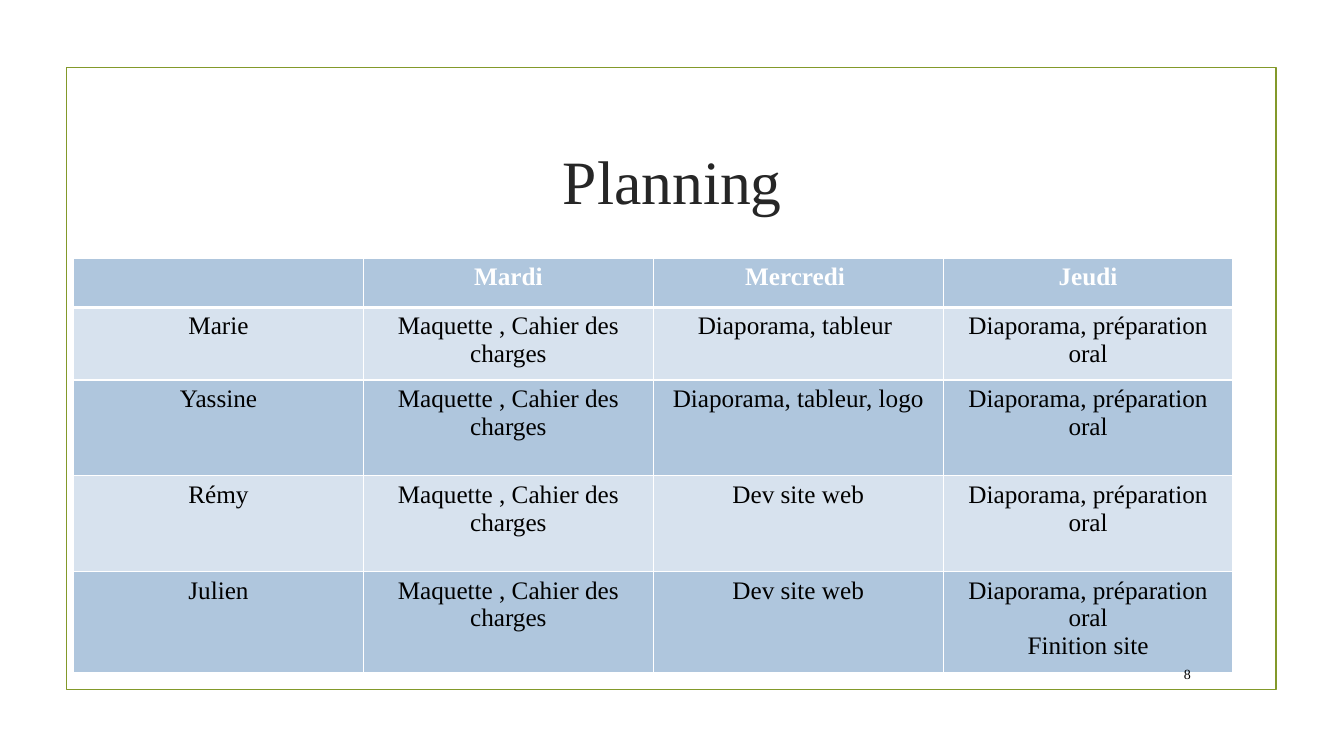
from lxml.etree import SubElement
from pptx import Presentation
from pptx.dml.color import RGBColor
from pptx.enum.shapes import MSO_SHAPE as Shape
from pptx.enum.text import MSO_ANCHOR as Anchor, PP_ALIGN as Align
from pptx.oxml.ns import qn
from pptx.util import Inches, Pt

FONT = "Times New Roman"
GREEN, WHITE, BLACK, TITLE_GREY = "83992A", "FFFFFF", "000000", "262626"
BAND_FILLS = ["AFC6DD", "D7E2EE"]
ROW_HEIGHTS = [0.49, 0.72, 0.95, 0.95, 0.95]
MOCKUP = "Maquette , Cahier des charges"
ORAL = "Diaporama, préparation oral"
PLANNING = [
    ["", "Mardi", "Mercredi ", "Jeudi"],
    ["Marie", MOCKUP, "Diaporama, tableur ", ORAL],
    ["Yassine", MOCKUP, "Diaporama, tableur, logo", ORAL],
    ["Rémy", MOCKUP, "Dev site web", ORAL],
    ["Julien", MOCKUP, "Dev site web", ORAL + "\nFinition site"],
]


def color(value):
    """Turn a hex string into a colour."""
    return RGBColor.from_string(value)


def write(frame, text, size, ink, align, bold=False):
    """Fill a text frame with evenly formatted text."""
    frame.text = text
    for para in frame.paragraphs:
        para.alignment = align
        para.font.size = Pt(size)
        for span in para.runs:
            span.font.name = FONT
            span.font.size = Pt(size)
            span.font.bold = bold
            span.font.color.rgb = color(ink)


def add_frame(page, left, top, width, height):
    """Draw the green outline around the page."""
    outline = page.shapes.add_shape(
        Shape.RECTANGLE, Inches(left), Inches(top), Inches(width), Inches(height))
    outline.shadow.inherit = False
    outline.fill.background()
    outline.line.color.rgb = color(GREEN)
    outline.line.width = Pt(1.25)


def add_text(page, left, top, width, height, text, size, ink, align):
    """Place a vertically centred text box."""
    box = page.shapes.add_textbox(
        Inches(left), Inches(top), Inches(width), Inches(height))
    box.text_frame.word_wrap = True
    box.text_frame.vertical_anchor = Anchor.MIDDLE
    write(box.text_frame, text, size, ink, align)


def add_borders(cell, widths):
    """Give a cell white borders, one width per side tag."""
    properties = cell._tc.get_or_add_tcPr()
    for tag, width in widths.items():
        line = SubElement(properties, qn(tag), w=str(Pt(width)))
        fill = SubElement(line, qn("a:solidFill"))
        SubElement(fill, qn("a:srgbClr"), val=WHITE)


def add_planning(page, left, top, width):
    """Build the planning table with alternating row fills."""
    column_count = len(PLANNING[0])
    table = page.shapes.add_table(
        len(PLANNING), column_count, Inches(left), Inches(top),
        Inches(width), Inches(sum(ROW_HEIGHTS))).table
    for column in table.columns:
        column.width = Inches(width / column_count)
    for index, (texts, height) in enumerate(zip(PLANNING, ROW_HEIGHTS)):
        header = index == 0
        table.rows[index].height = Inches(height)
        borders = {"a:lnL": 1, "a:lnR": 1,
                   "a:lnT": 3 if index == 1 else 1,
                   "a:lnB": 3 if header else 1}
        for cell, text in zip(table.rows[index].cells, texts):
            add_borders(cell, borders)
            cell.fill.solid()
            cell.fill.fore_color.rgb = color(BAND_FILLS[index % 2])
            write(cell.text_frame, text, 18, WHITE if header else BLACK,
                  Align.CENTER, header)


def main():
    """Build and save the planning slide."""
    deck = Presentation()
    deck.slide_width, deck.slide_height = Inches(13.33), Inches(7.5)
    page = deck.slides.add_slide(deck.slide_layouts[6])
    add_frame(page, 0.66, 0.67, 12, 6.17)
    add_text(page, 1.42, 1.07, 10.5, 1.43, "Planning", 44, TITLE_GREY, Align.CENTER)
    add_planning(page, 0.73, 2.56, 11.5)
    add_text(page, 11.32, 6.53, 0.59, 0.31, "8", 10, BLACK, Align.RIGHT)
    deck.save("out.pptx")


if __name__ == "__main__":
    main()
